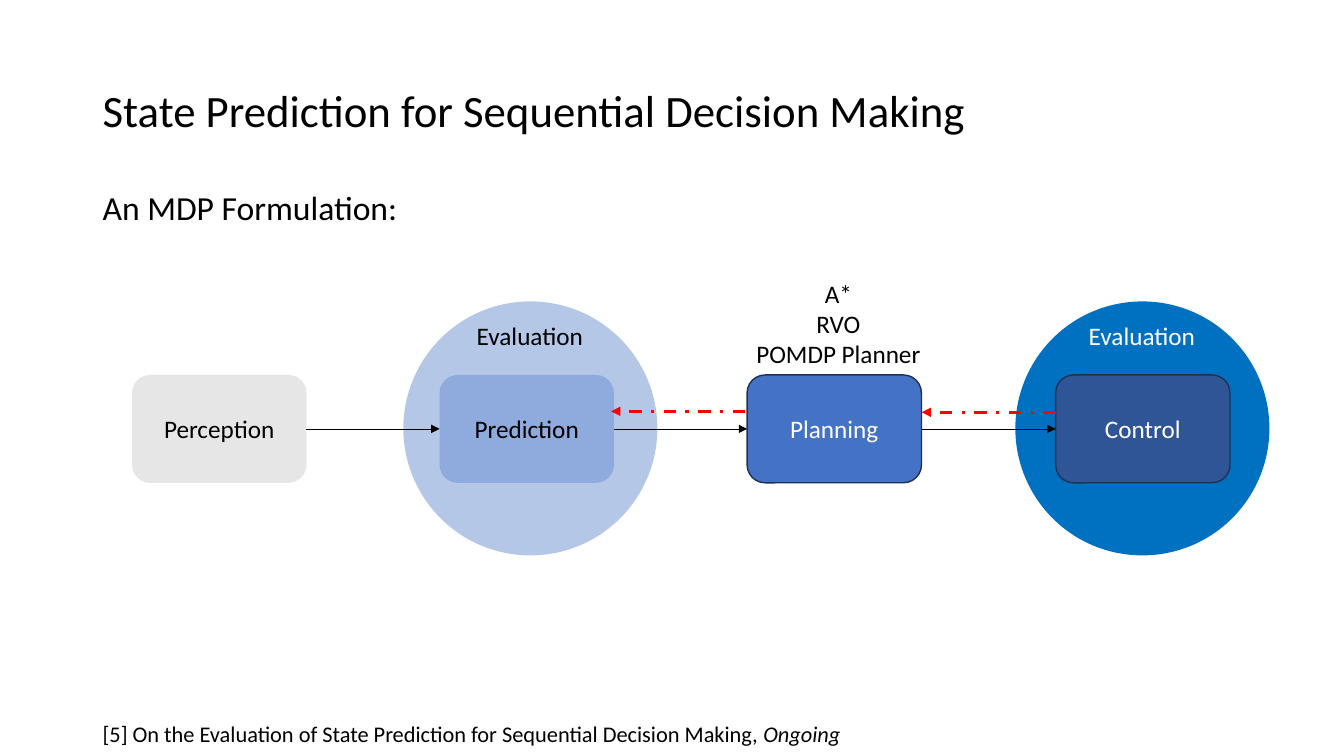
import pptx
import pptx.dml.color
import pptx.enum.dml
import pptx.enum.shapes
import pptx.enum.text
import pptx.oxml.ns
import pptx.util
from lxml import etree

EMU_PER_PX = 9144  # 100 px to the inch
COLORS = {
    "black": "000000", "white": "FFFFFF", "red": "FF0000", "outline": "1E3256",
    "gray": "E7E6E6", "pale_blue": "B4C7E7", "light_blue": "8FAADC",
    "blue": "4472C4", "dark_blue": "2F5597", "bright_blue": "0070C0",
}
SHAPES = pptx.enum.shapes.MSO_SHAPE
CENTER = pptx.enum.text.PP_ALIGN.CENTER
TOP, MIDDLE = pptx.enum.text.MSO_ANCHOR.TOP, pptx.enum.text.MSO_ANCHOR.MIDDLE
RIGHT_SIDE, LEFT_SIDE = 3, 1


def px(*lengths):
    return [pptx.util.Emu(length * EMU_PER_PX) for length in lengths]


def rgb(name):
    return pptx.dml.color.RGBColor.from_string(COLORS[name])


def apply(target, values):
    for name, value in values.items():
        setattr(target, name, value)


class DiagramSlide:
    def __init__(self, presentation, font="Calibri", size=18):
        self.slide = presentation.slides.add_slide(presentation.slide_layouts[6])
        self.font = font
        self.size = size

    def label(self, shape, paragraphs, color="black", size=None, frame=None, **paragraph_format):
        """Each paragraph is a list of (text, italic) runs."""
        apply(shape.text_frame, frame or {})
        for index, runs in enumerate(paragraphs):
            if index:
                paragraph = shape.text_frame.add_paragraph()
            else:
                paragraph = shape.text_frame.paragraphs[0]
            apply(paragraph, paragraph_format)
            for text, italic in runs:
                run = paragraph.add_run()
                run.text = text
                apply(run.font, {"name": self.font, "italic": italic,
                                 "size": pptx.util.Pt(size or self.size)})
                run.font.color.rgb = rgb(color)

    def text(self, box, paragraphs, wrap=False, anchor=TOP, **style):
        shape = self.slide.shapes.add_textbox(*px(*box))
        fit = pptx.enum.text.MSO_AUTO_SIZE
        frame = {"word_wrap": wrap, "vertical_anchor": anchor,
                 "auto_size": fit.NONE if wrap else fit.SHAPE_TO_FIT_TEXT}
        self.label(shape, paragraphs, frame=frame, **style)

    def shape(self, kind, box, fill, outline=None):
        shape = self.slide.shapes.add_shape(kind, *px(*box))
        shape.shadow.inherit = False
        shape.fill.solid()
        shape.fill.fore_color.rgb = rgb(fill)
        if outline:
            shape.line.color.rgb = rgb(outline)
            shape.line.width = pptx.util.Pt(1)
        else:
            shape.line.fill.background()
        return shape

    def arrow(self, ends, color, width, dash=None):
        connector = self.slide.shapes.add_connector(
            pptx.enum.shapes.MSO_CONNECTOR.STRAIGHT, *px(*ends))
        connector.line.color.rgb = rgb(color)
        apply(connector.line, {"width": pptx.util.Pt(width), "dash_style": dash})
        qn = pptx.oxml.ns.qn
        properties = connector._element.spPr
        etree.SubElement(properties.find(qn("a:ln")), qn("a:tailEnd"), type="triangle")
        etree.SubElement(properties, qn("a:effectLst"))
        return connector


def main():
    presentation = pptx.Presentation()
    presentation.slide_width, presentation.slide_height = px(1333, 750)
    diagram = DiagramSlide(presentation)

    # Evaluation circles behind the stages
    for left, fill, color in ((1007, "bright_blue", "white"), (400, "pale_blue", "black")):
        diagram.shape(SHAPES.OVAL, (left, 299, 252, 252), fill)
        diagram.text((left + 63, 313, 127, 40), [[("Evaluation", False)]], color=color)

    # Title
    diagram.text((92, 40, 1233, 145),
                 [[("State Prediction for Sequential Decision Making", False)]],
                 wrap=True, anchor=MIDDLE, size=32, line_spacing=0.9)

    # Pipeline stages, evenly spaced
    stages = []
    for index, (name, fill, color, outline) in enumerate((
            ("Perception", "gray", "black", None),
            ("Prediction", "light_blue", "black", None),
            ("Planning", "blue", "white", "outline"),
            ("Control", "dark_blue", "white", "outline"))):
        left = 131 + index * 916 // 3
        stage = diagram.shape(SHAPES.ROUNDED_RECTANGLE, (left, 372, 173, 107), fill, outline)
        diagram.label(stage, [[(name, False)]], color=color,
                      frame={"vertical_anchor": MIDDLE}, alignment=CENTER)
        stages.append(stage)

    # Forward flow
    for source, target in zip(stages, stages[1:]):
        connector = diagram.arrow((0, 0, 0, 0), "black", 0.5)
        connector.begin_connect(source, RIGHT_SIDE)
        connector.end_connect(target, LEFT_SIDE)

    # Planner examples, reference and subtitle
    diagram.text((739, 271, 185, 101),
                 [[(name, False)] for name in ("A*", "RVO", "POMDP Planner")],
                 alignment=CENTER)
    diagram.text((92, 713, 967, 37),
                 [[("[5] On the Evaluation of State Prediction for Sequential Decision Making", False),
                   (", Ongoing", True)]],
                 wrap=True, size=16, line_spacing=0.9, space_before=pptx.util.Pt(10))
    diagram.text((92, 181, 315, 50), [[("An MDP Formulation:", False)]], size=24)

    # Feedback flow
    for start, end, y in ((1047, 914, 409), (739, 606, 408)):
        diagram.arrow((start, y, end, y), "red", 2.25,
                      pptx.enum.dml.MSO_LINE.DASH_DOT)

    presentation.save("out.pptx")


if __name__ == "__main__":
    main()
